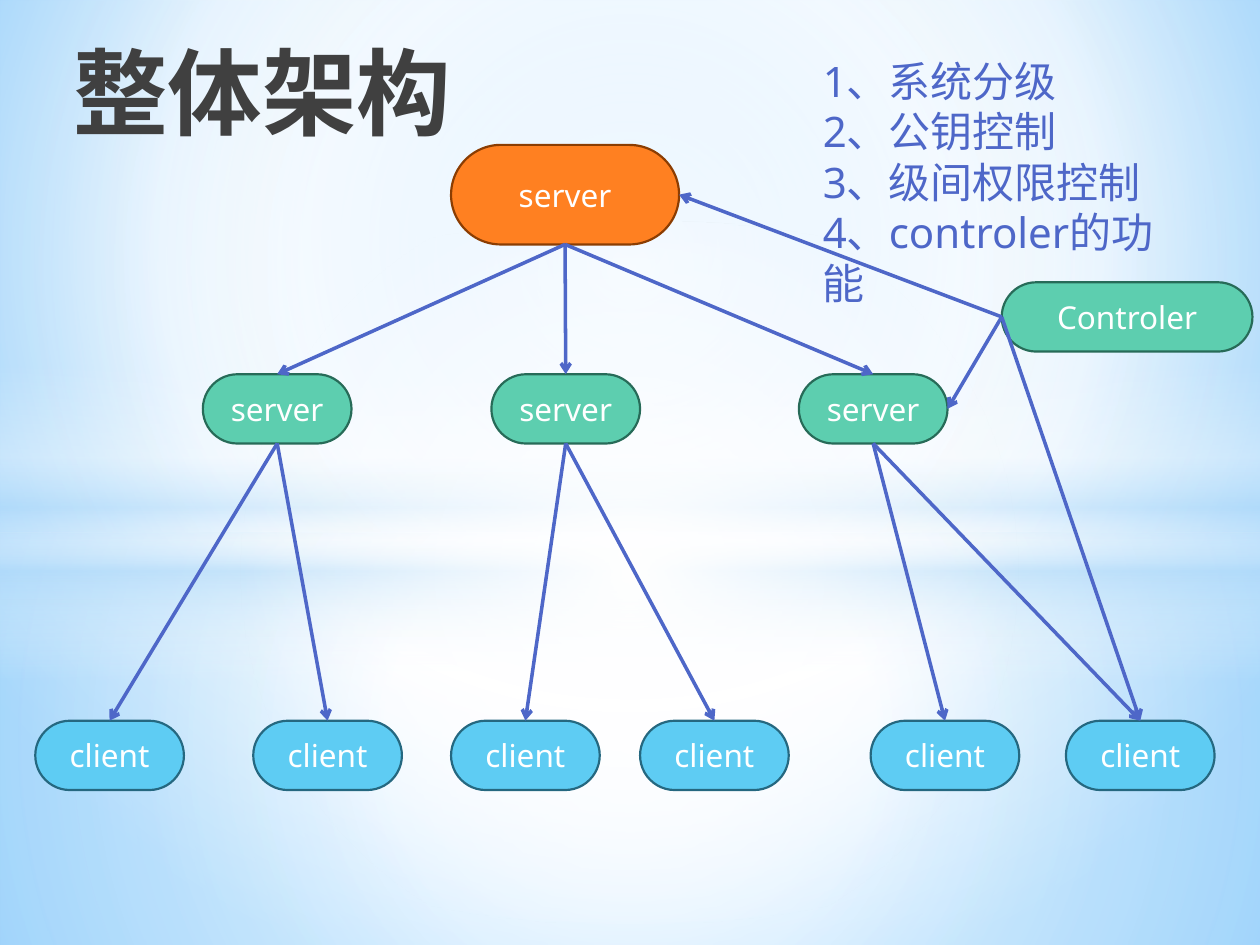
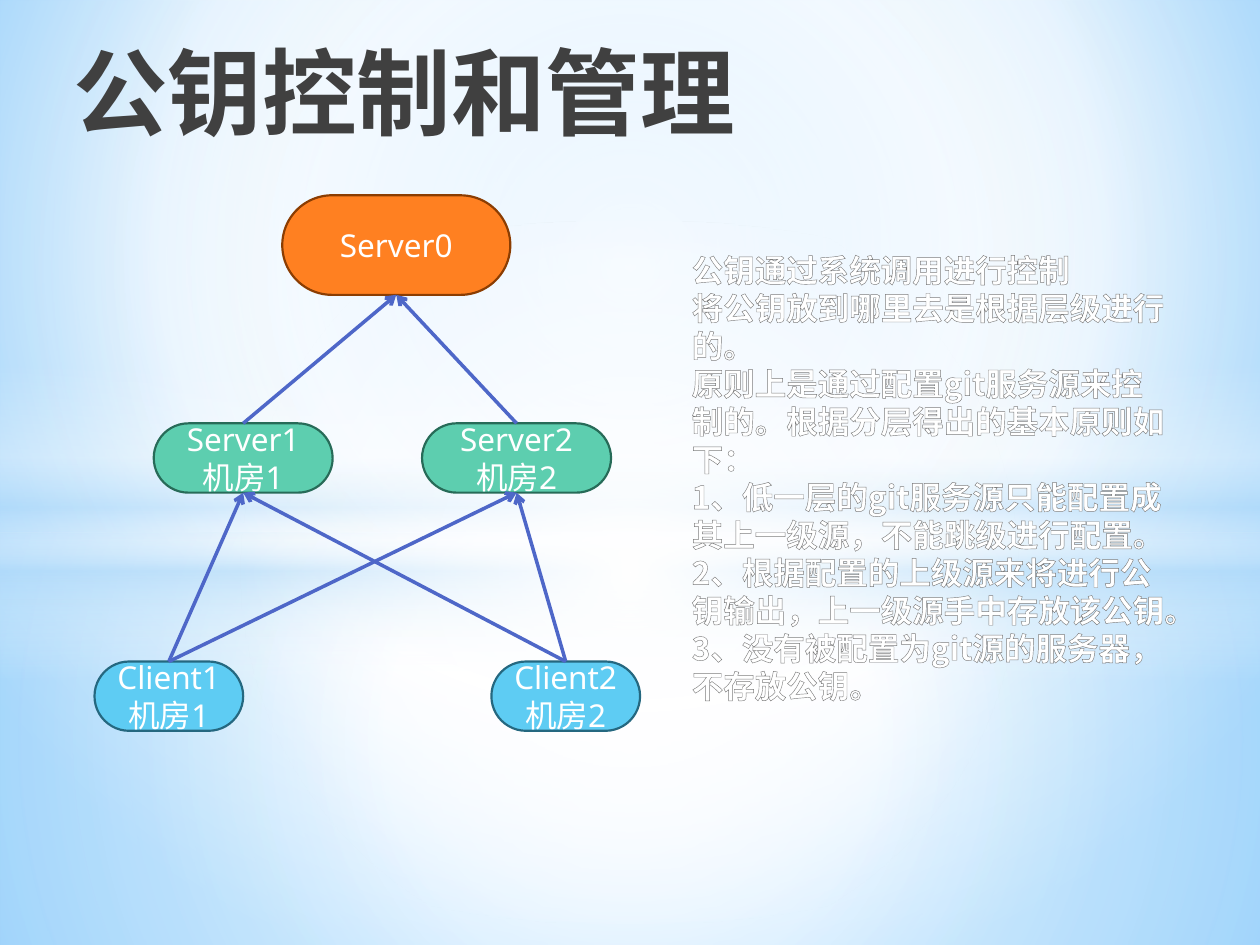
from collections import namedtuple
from dataclasses import dataclass

from lxml import etree
from pptx import Presentation
from pptx.dml.color import RGBColor
from pptx.enum.shapes import MSO_CONNECTOR, MSO_SHAPE
from pptx.enum.text import MSO_ANCHOR, MSO_AUTO_SIZE, PP_ALIGN
from pptx.oxml import parse_xml
from pptx.oxml.ns import nsdecls, qn
from pptx.util import Inches, Pt

RECT, ELLIPSE, PILL = MSO_SHAPE.RECTANGLE, MSO_SHAPE.OVAL, MSO_SHAPE.ROUNDED_RECTANGLE
STRAIGHT = MSO_CONNECTOR.STRAIGHT
TOP_ANCHOR, MIDDLE_ANCHOR = MSO_ANCHOR.TOP, MSO_ANCHOR.MIDDLE
LEFT_ALIGN, CENTER_ALIGN = PP_ALIGN.LEFT, PP_ALIGN.CENTER
GROW = MSO_AUTO_SIZE.SHAPE_TO_FIT_TEXT
# Connection sites of a rounded rectangle
TOP, LEFT, BOTTOM, RIGHT = range(4)

Box = namedtuple("Box", "left top width height")
Kind = namedtuple("Kind", "fill line width height")
Node = namedtuple("Node", "kind x y lines width", defaults=(None,))


@dataclass(frozen=True)
class Theme:
    latin: str = "Noto Sans"
    chinese: str = "Noto Sans CJK SC"
    title_size: int = 54
    list_size: int = 24
    text_size: int = 18
    leading: float = 1.2
    white: str = "FFFFFF"
    title: str = "404040"
    accent: str = "4E67C8"
    outline: str = "7D7D7D"
    haze: str = "B4DCFA"
    link_width: float = 2
    node_line: float = 1.25


THEME = Theme()
WHITE, HAZE = THEME.white, THEME.haze
ROOT = Kind("FF8021", "8B3D02", 1.81, 0.79)
SERVER = Kind("5DCEAF", "276B58", 1.18, 0.55)
CLIENT = Kind("5ECCF3", "256880", 1.18, 0.55)

TITLE_STOPS = [(0, "000000"), (40, THEME.title), (100, "212745", 65)]
SILVER_STOPS = [(0, WHITE), (9, WHITE), (50, "7F7F7F"), (79, WHITE), (100, WHITE)]
SKY_STOPS = [(0, "9ED5FF"), (60, WHITE), (100, "5BB9FF")]
# Shape, box, gradient stops, focus (None for a vertical gradient)
CENTER = (50, 50, 50, 50)
BANDS = [
    (RECT, Box(0, 4.23, 10, 3.27),
     [(0, WHITE, 91), (37, WHITE, 76), (100, HAZE, 79)], CENTER),
    (RECT, Box(0, 0, 10, 4.23),
     [(0, WHITE, 89), (48, WHITE, 62), (100, HAZE, 79)], CENTER),
    (RECT, Box(0, 2.9, 10, 2.5),
     [(0, WHITE, 0), (29, WHITE, 30), (45, HAZE, 40), (55, WHITE, 26),
      (65, HAZE, 60), (100, WHITE, 0)], None),
    (ELLIPSE, Box(0, 1.75, 10, 5.58), [(0, WHITE), (54, WHITE, 0)], CENTER),
]


def rgb(color):
    return RGBColor.from_string(color)


def inches(box):
    return [Inches(length) for length in box]


def place(shape, box):
    shape.left, shape.top, shape.width, shape.height = inches(box)


def use_gradient(parent, stops, focus=None):
    """Replace the solid fill directly under parent by a gradient."""
    marks = "".join(
        f'<a:gs pos="{pos * 1000}"><a:srgbClr val="{color}">'
        f'<a:alpha val="{(opacity[0] if opacity else 100) * 1000}"/></a:srgbClr></a:gs>'
        for pos, color, *opacity in stops)
    if focus:
        sides = " ".join(f'{side}="{part * 1000}"' for side, part in zip("ltrb", focus))
        course = f'<a:path path="circle"><a:fillToRect {sides}/></a:path>'
    else:
        course = '<a:lin ang="5400000" scaled="0"/>'
    gradient = parse_xml(f'<a:gradFill {nsdecls("a")} rotWithShape="1">'
                         f'<a:gsLst>{marks}</a:gsLst>{course}</a:gradFill>')
    parent.replace(parent.find(qn("a:solidFill")), gradient)


def write(shape, lines, size, color, align=LEFT_ALIGN, anchor=TOP_ANCHOR,
          latin=THEME.latin, bold=False):
    """Fill a shape with equally formatted paragraphs."""
    frame = shape.text_frame
    frame.word_wrap = True
    frame.vertical_anchor = anchor
    frame.text = "\n".join(lines)
    for paragraph in frame.paragraphs:
        paragraph.alignment = align
        paragraph.space_before = Pt(0)
        paragraph.line_spacing = Pt(round(size * THEME.leading, 1))
        font = paragraph.font
        font.size, font.bold, font.name = Pt(size), bold, latin
        font.color.rgb = rgb(color)
    for props in shape.element.iter(qn("a:defRPr")):
        east_asian = etree.Element(qn("a:ea"), typeface=THEME.chinese)
        props.find(qn("a:latin")).addnext(east_asian)


def build_backdrop(prs, slide):
    """Give the master its sky gradient and light bands."""
    master = prs.slide_master
    master.background.fill.solid()
    master.background.fill.fore_color.rgb = rgb(WHITE)
    use_gradient(next(master.element.iter(qn("p:bgPr"))), SKY_STOPS, (20, 10, 20, 60))
    for index, (outline, box, stops, focus) in enumerate(BANDS):
        band = slide.shapes.add_shape(outline, *inches(box))
        band.shadow.inherit = False
        band.line.fill.background()
        band.fill.solid()
        band.fill.fore_color.rgb = rgb(WHITE)
        use_gradient(band.element.spPr, stops, focus)
        band.element.nvSpPr.cNvPr.set("id", str(100 + index))
        master.shapes.element.insert(2 + index, band.element)


def add_title(slide, box, text):
    title = slide.shapes.title
    place(title, box)
    write(title, [text], THEME.title_size, THEME.title, anchor=MIDDLE_ANCHOR, bold=True)
    title.text_frame.margin_left = Inches(0.3)
    title.text_frame.auto_size = MSO_AUTO_SIZE.NONE
    for props in title.element.iter(qn("a:defRPr")):
        use_gradient(props, TITLE_STOPS)


def add_points(slide, box, lines):
    points = slide.placeholders[1]
    place(points, box)
    write(points, lines, THEME.list_size, THEME.accent)
    points.text_frame.auto_size = GROW


def add_rules(slide, box, lines):
    """Bold silver text with a thin grey outline."""
    rules = slide.placeholders[1]
    place(rules, box)
    write(rules, lines, THEME.text_size, WHITE, latin=THEME.chinese, bold=True)
    rules.text_frame.auto_size = GROW
    for props in rules.element.iter(qn("a:defRPr")):
        use_gradient(props, SILVER_STOPS)
        props.insert(0, parse_xml(
            f'<a:ln {nsdecls("a")} w="{Pt(0.83)}"><a:solidFill>'
            f'<a:srgbClr val="{THEME.outline}"/></a:solidFill></a:ln>'))


def add_node(slide, box, node):
    kind = node.kind
    pill = slide.shapes.add_shape(PILL, *inches(Box(
        box.left + node.x, box.top + node.y, node.width or kind.width, kind.height)))
    pill.adjustments[0] = 0.5
    pill.shadow.inherit = False
    pill.fill.solid()
    pill.fill.fore_color.rgb = rgb(kind.fill)
    pill.line.color.rgb = rgb(kind.line)
    pill.line.width = Pt(THEME.node_line)
    write(pill, node.lines, THEME.text_size, WHITE, CENTER_ALIGN, MIDDLE_ANCHOR)
    return pill


def add_link(slide, start, start_site, end, end_site):
    link = slide.shapes.add_connector(STRAIGHT, 0, 0, 0, 0)
    link.begin_connect(start, start_site)
    link.end_connect(end, end_site)
    link.line.color.rgb = rgb(THEME.accent)
    link.line.width = Pt(THEME.link_width)
    etree.SubElement(link.line._get_or_add_ln(), qn("a:tailEnd"), type="arrow")
    etree.SubElement(link.element.spPr, qn("a:effectLst"))


def add_network(slide, box, nodes, links):
    """Draw nodes placed relative to the box, then the arrows between them."""
    pills = {key: add_node(slide, box, node) for key, node in nodes.items()}
    for start, start_site, end, end_site in links:
        add_link(slide, pills[start], start_site, pills[end], end_site)


def build_architecture(slide):
    add_title(slide, Box(0.28, 0.13, 3.86, 1.18), "整体架构")
    add_points(slide, Box(6.43, 0.39, 3.12, 1.72),
               ["1、系统分级", "2、公钥控制", "3、级间权限控制", "4、controler的功能"])
    nodes = {"root": Node(ROOT, 3.3, 0, ["server"])}
    links = []
    # Three servers, each with its pair of clients
    for index, (x, client_xs) in enumerate(
            [(1.33, (0, 1.73)), (3.62, (3.3, 4.8)), (6.06, (6.63, 8.18))]):
        server = f"server{index}"
        nodes[server] = Node(SERVER, x, 1.82, ["server"])
        links.append(("root", BOTTOM, server, TOP))
        for side, client_x in enumerate(client_xs):
            client = f"client{index}{side}"
            nodes[client] = Node(CLIENT, client_x, 4.57, ["client"])
            links.append((server, BOTTOM, client, TOP))
    # The controller reaches every level
    nodes["controller"] = Node(SERVER, 7.67, 1.09, ["Controler"], 1.99)
    links += [("controller", LEFT, end, site) for end, site in
              [("root", RIGHT), ("server2", RIGHT), ("client21", TOP)]]
    add_network(slide, Box(0.28, 1.15, 9.66, 5.12), nodes, links)


def build_key_management(slide):
    add_title(slide, Box(0.28, 0.13, 7.87, 1.18), "公钥控制和管理")
    add_rules(slide, Box(5.39, 1.94, 4.02, 3.74), [
        "公钥通过系统调用进行控制",
        "将公钥放到哪里去是根据层级进行的。",
        "原则上是通过配置git服务源来控制的。根据分层得出的基本原则如下：",
        "1、低一层的git服务源只能配置成其上一级源，不能跳级进行配置。",
        "2、根据配置的上级源来将进行公钥输出，上一级源手中存放该公钥。",
        "3、没有被配置为git源的服务器，不存放公钥。",
    ])
    nodes = {
        "root": Node(ROOT, 1.49, 0, ["Server0"]),
        "server1": Node(SERVER, 0.47, 1.81, ["Server1", "机房1"], 1.42),
        "server2": Node(SERVER, 2.6, 1.81, ["Server2", "机房2"], 1.5),
        "client1": Node(CLIENT, 0, 3.7, ["Client1", "机房1"]),
        "client2": Node(CLIENT, 3.15, 3.7, ["Client2", "机房2"]),
    }
    servers, clients = ("server1", "server2"), ("client1", "client2")
    links = [(server, TOP, "root", BOTTOM) for server in servers]
    links += [(client, TOP, server, BOTTOM) for client in clients for server in servers]
    add_network(slide, Box(0.75, 1.55, 4.33, 4.25), nodes, links)


prs = Presentation()
prs.slide_width, prs.slide_height = Inches(10), Inches(7.5)
title_layout = prs.slide_layouts[0]
architecture = prs.slides.add_slide(title_layout)
build_backdrop(prs, architecture)
build_architecture(architecture)
build_key_management(prs.slides.add_slide(title_layout))
prs.save("out.pptx")
